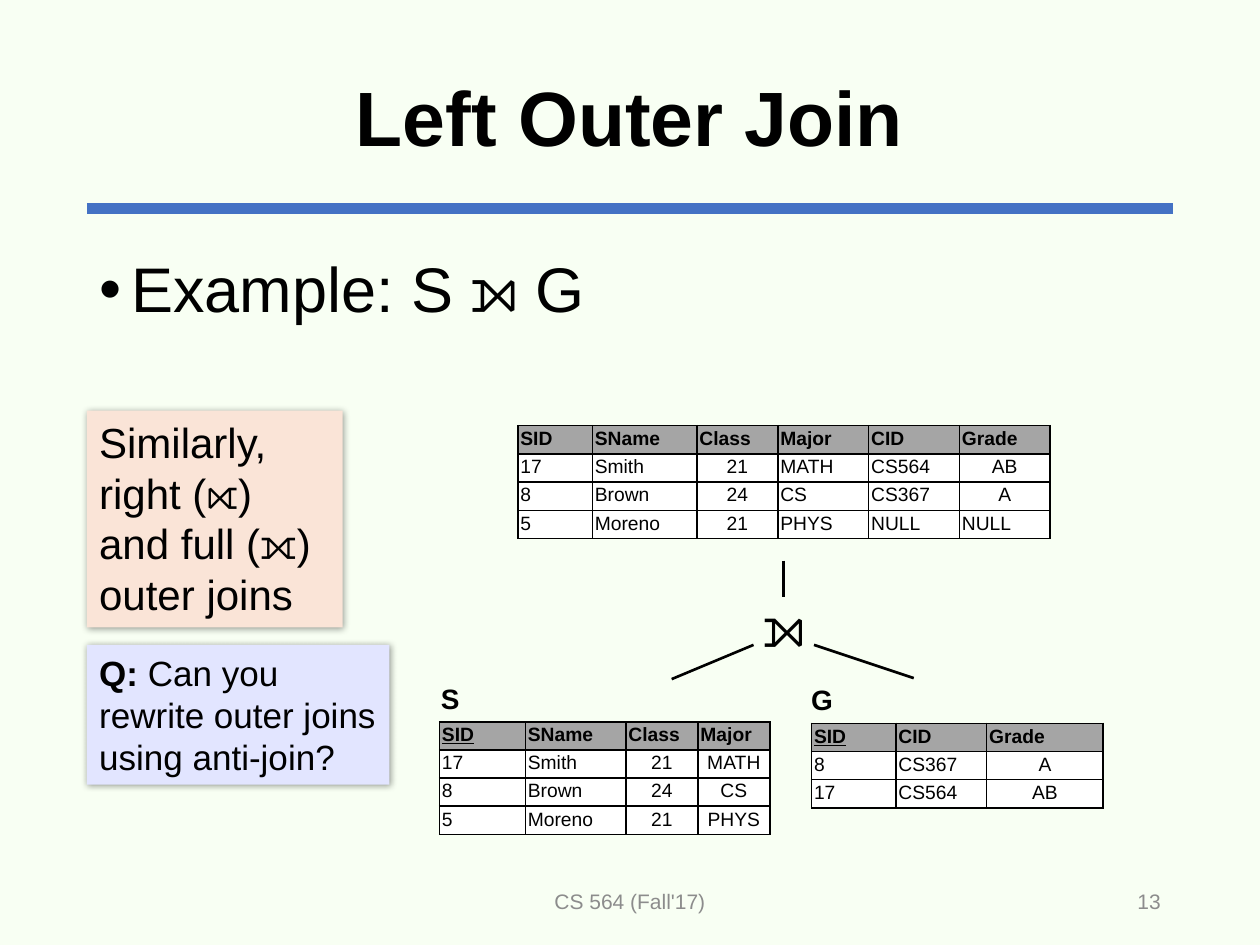
from lxml.etree import SubElement
from pptx import Presentation
from pptx.dml.color import RGBColor
from pptx.enum.shapes import MSO_CONNECTOR, MSO_SHAPE
from pptx.enum.text import MSO_ANCHOR as Anchor, MSO_AUTO_SIZE as AutoSize, PP_ALIGN as Align
from pptx.oxml import parse_xml
from pptx.oxml.ns import nsdecls, qn
from pptx.util import Cm, Pt

BACKGROUND = RGBColor(0xF8, 0xFF, 0xF3)
BLACK = RGBColor(0, 0, 0)
WHITE = RGBColor(0xFF, 0xFF, 0xFF)
BLUE = RGBColor(0x44, 0x72, 0xC4)
HEADER_GREY = RGBColor(0xA5, 0xA5, 0xA5)
FOOTER_GREY = RGBColor(0x8C, 0x8C, 0x8C)
PEACH = RGBColor(0xFA, 0xE4, 0xD7)
LAVENDER = RGBColor(0xE2, 0xE5, 0xFF)

MARGIN = 1.75
CONTENT_WIDTH = 21.9
CELL_INSET = Cm(0.05)


def write_text(frame, text, size, color=BLACK, bold=False, underline=False, font="Arial",
               align=Align.LEFT, anchor=Anchor.TOP, wrap=True, lead=""):
    """Fill a frame with one paragraph; lead is a bold opening before the text."""
    frame.word_wrap = wrap
    frame.vertical_anchor = anchor
    para = frame.paragraphs[0]
    para.alignment = align
    for words, is_bold in ((lead, True), (text, bold)):
        if words:
            span = para.add_run()
            span.text = words
            span.font.name = font
            span.font.size = Pt(size)
            span.font.bold = is_bold
            span.font.underline = underline
            span.font.color.rgb = color
    return para


def place(shape, left, top, width, height):
    shape.left, shape.top, shape.width, shape.height = map(Cm, (left, top, width, height))


def add_label(page, bounds, text, size, **text_format):
    box = page.shapes.add_textbox(*map(Cm, bounds))
    write_text(box.text_frame, text, size, **text_format)


def add_line(page, start, end, color=BLACK, width=1.5):
    line = page.shapes.add_connector(MSO_CONNECTOR.STRAIGHT, *map(Cm, start + end))
    line.line.color.rgb = color
    line.line.width = Pt(width)
    SubElement(line._element.spPr, qn("a:effectLst"))


def add_note(page, bounds, fill, text, size, **text_format):
    """Add a filled box with a soft shadow."""
    box = page.shapes.add_shape(MSO_SHAPE.RECTANGLE, *map(Cm, bounds))
    box.fill.solid()
    box.fill.fore_color.rgb = fill
    box.line.fill.background()
    box.shadow.inherit = False
    effects = box._element.spPr.find(qn("a:effectLst"))
    effects.append(parse_xml(
        f'<a:outerShdw {nsdecls("a")} blurRad="{Pt(4)}" dist="{Pt(1)}" dir="2700000" '
        'rotWithShape="0"><a:srgbClr val="000000"><a:alpha val="40000"/></a:srgbClr>'
        '</a:outerShdw>'))
    write_text(box.text_frame, text, size, **text_format)
    box.text_frame.auto_size = AutoSize.SHAPE_TO_FIT_TEXT


def add_join_symbol(page):
    oval = page.shapes.add_shape(MSO_SHAPE.OVAL, Cm(14.94), Cm(12.04), Cm(1.73), Cm(1.14))
    oval.fill.background()
    oval.line.fill.background()
    oval.shadow.inherit = False
    write_text(oval.text_frame, "⟕", 32, font="Calibri", align=Align.CENTER,
               anchor=Anchor.MIDDLE, wrap=False)


def add_cell_borders(cell):
    properties = cell._tc.get_or_add_tcPr()
    for side in ("lnL", "lnR", "lnT", "lnB"):
        properties.append(parse_xml(
            f'<a:{side} {nsdecls("a")} w="{Pt(1)}"><a:solidFill><a:srgbClr val="{BLACK}"/>'
            f'</a:solidFill></a:{side}>'))


def add_relation(page, left, top, widths, row_height, rows, centred, key=None):
    """Add a relation; centred names its centred columns, key its underlined one."""
    frame = page.shapes.add_table(len(rows), len(widths), Cm(left), Cm(top),
                                  Cm(sum(widths)), Cm(row_height * len(rows)))
    table = frame.table
    for column, width in zip(table.columns, widths):
        column.width = Cm(width)
    header = rows[0]
    for r, row in enumerate(rows):
        table.rows[r].height = Cm(row_height)
        for c, value in enumerate(row):
            cell = table.cell(r, c)
            is_header = r == 0
            is_centred = not is_header and header[c] in centred and value != "NULL"
            cell.margin_left = cell.margin_right = CELL_INSET
            cell.margin_top = cell.margin_bottom = CELL_INSET
            add_cell_borders(cell)
            cell.fill.solid()
            cell.fill.fore_color.rgb = HEADER_GREY if is_header else WHITE
            write_text(cell.text_frame, value, 11, bold=is_header,
                       underline=is_header and value == key,
                       align=Align.CENTER if is_centred else Align.LEFT)


def add_heading(page):
    add_line(page, (MARGIN, 4.2), (MARGIN + CONTENT_WIDTH, 4.2), BLUE, 6)
    title = page.shapes.title
    place(title, MARGIN, 0.61, CONTENT_WIDTH, 3.68)
    para = write_text(title.text_frame, "Left Outer Join", 44, bold=True,
                      align=Align.CENTER, anchor=Anchor.MIDDLE)
    para.line_spacing = 0.9


def add_example(page):
    body = page.placeholders[1]
    place(body, MARGIN, 5.08, CONTENT_WIDTH, 12.09)
    para = write_text(body.text_frame, "Example: S ⟕ G", 36)
    para.line_spacing = 0.9
    para.space_before = Pt(10)
    properties = para._p.get_or_add_pPr()
    properties.set("marL", str(Cm(0.64)))
    properties.set("indent", str(-Cm(0.64)))
    SubElement(properties, qn("a:buFont")).set("typeface", "Arial")
    SubElement(properties, qn("a:buChar")).set("char", "•")


def add_join_tree(page):
    add_relation(page, 8.86, 14.55, (1.73, 2.03, 1.45, 1.45), 0.53, (
        ("SID", "SName", "Class", "Major"),
        ("17", "Smith", "21", "MATH"),
        ("8", "Brown", "24", "CS"),
        ("5", "Moreno", "21", "PHYS"),
    ), centred=("Class", "Major"), key="SID")
    add_relation(page, 16.36, 14.58, (1.7, 1.83, 2.35), 0.57, (
        ("SID", "CID", "Grade"),
        ("8", "CS367", "A"),
        ("17", "CS564", "AB"),
    ), centred=("Grade",), key="SID")
    add_relation(page, 10.44, 8.58, (1.5, 2.11, 1.63, 1.83, 1.83, 1.83), 0.57, (
        ("SID", "SName", "Class", "Major", "CID", "Grade"),
        ("17", "Smith", "21", "MATH", "CS564", "AB"),
        ("8", "Brown", "24", "CS", "CS367", "A"),
        ("5", "Moreno", "21", "PHYS", "NULL", "NULL"),
    ), centred=("Class", "Grade"))
    add_label(page, (8.64, 13.62, 0.81, 0.94), "S", 16, bold=True, wrap=False)
    add_label(page, (16.1, 13.64, 0.94, 0.94), "G", 16, bold=True, wrap=False)
    add_join_symbol(page)
    add_line(page, (15.8, 11.3), (15.8, 12.04))
    add_line(page, (15.19, 13), (13.54, 13.69))
    add_line(page, (16.41, 13), (18.42, 13.67))


def main():
    deck = Presentation()
    deck.slide_width, deck.slide_height = Cm(25.4), Cm(19.05)
    page = deck.slides.add_slide(deck.slide_layouts[1])
    page.background.fill.solid()
    page.background.fill.fore_color.rgb = BACKGROUND

    add_heading(page)
    add_example(page)
    add_label(page, (8.41, 17.65, 8.58, 1.02), "CS 564 (Fall'17)", 12, color=FOOTER_GREY,
              align=Align.CENTER, anchor=Anchor.MIDDLE)
    add_label(page, (17.93, 17.65, 5.72, 1.02), "13", 12, color=FOOTER_GREY,
              align=Align.RIGHT, anchor=Anchor.MIDDLE)
    add_join_tree(page)
    add_note(page, (MARGIN, 8.28, 5.16, 4.37), PEACH,
             "Similarly, right (⟖) and full (⟗) outer joins", 24)
    add_note(page, (MARGIN, 13, 6.1, 2.82), LAVENDER,
             "Can you rewrite outer joins using anti-join?", 20, lead="Q: ")
    deck.save("out.pptx")


if __name__ == "__main__":
    main()
